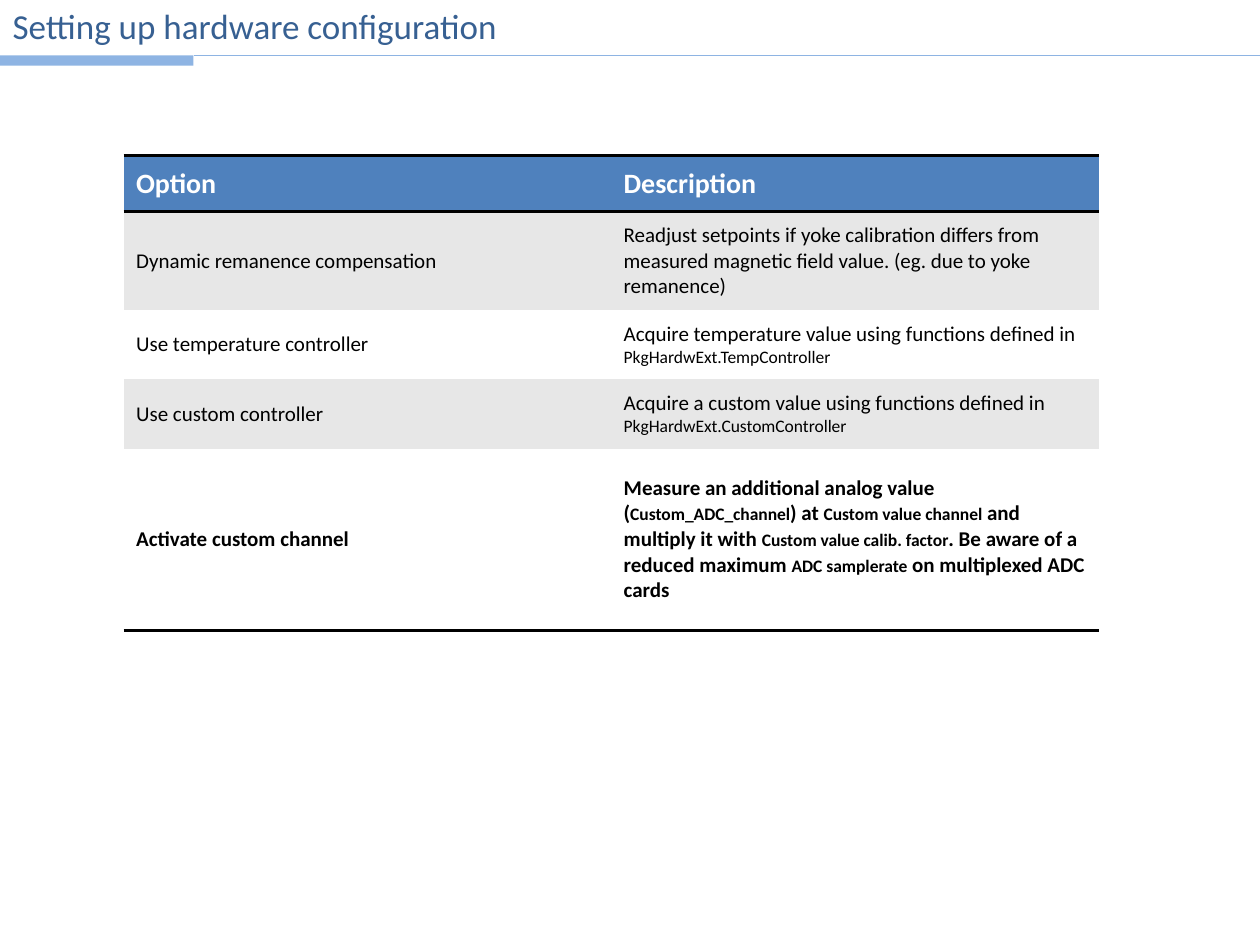
from dataclasses import dataclass

from lxml import etree
from pptx import Presentation
from pptx import util as u
from pptx.dml import color
from pptx.enum import shapes, text
from pptx.oxml import ns


@dataclass(frozen=True)
class Theme:
    font: str = "Calibri"
    title: str = "376092"
    accent: str = "8EB4E3"
    header: str = "4F81BD"
    band: str = "E7E7E7"
    white: str = "FFFFFF"
    black: str = "000000"
    title_size: int = 20
    header_size: int = 16
    body_size: int = 12
    code_size: int = 10
    rule_width: float = 0.75
    border_width: int = 2


THEME = Theme()
PLAIN_TABLE_STYLE = "{2D5ABB26-0587-4C30-8999-92F81FD0307C}"
BODY, CODE = THEME.body_size, THEME.code_size
HEADINGS = ("Option", "Description")
OPTIONS = [
    ("Dynamic remanence compensation", [
        ("Readjust setpoints if yoke calibration differs from measured "
         "magnetic field value. (eg. due to yoke remanence)", BODY)]),
    ("Use temperature controller", [
        ("Acquire temperature value using functions defined in ", BODY),
        ("PkgHardwExt.TempController", CODE)]),
    ("Use custom controller", [
        ("Acquire a custom value using functions defined in ", BODY),
        ("PkgHardwExt.CustomController", CODE)]),
    ("Activate custom channel", [
        ("Measure an additional analog value (", BODY),
        ("Custom_ADC_channel", CODE),
        (") at ", BODY),
        ("Custom value channel", CODE),
        (" and multiply it with ", BODY),
        ("Custom value calib. factor", CODE),
        (". Be aware of a reduced maximum ", BODY),
        ("ADC samplerate", CODE),
        (" on multiplexed ADC cards", BODY)]),
]
ROW_HEIGHTS = (32.4, 56.2, 39.6, 39.6, 103.7)


def rgb(value):
    return color.RGBColor.from_string(value)


def add_runs(paragraph, runs, ink, bold=False):
    for words, size in runs:
        run = paragraph.add_run()
        run.text = words
        run.font.name = THEME.font
        run.font.size = u.Pt(size)
        run.font.bold = bold
        run.font.color.rgb = rgb(ink)


def set_title(slide, words):
    title = slide.shapes.title
    title.left, title.top = u.Pt(0), u.Pt(-2.2)
    title.width, title.height = u.Pt(645), u.Pt(34)
    frame = title.text_frame
    frame.vertical_anchor = text.MSO_ANCHOR.MIDDLE
    paragraph = frame.paragraphs[0]
    paragraph.alignment = text.PP_ALIGN.LEFT
    add_runs(paragraph, [(words, THEME.title_size)], THEME.title)


def add_title_rule(slide, top, bar_width, slide_width):
    bar = slide.shapes.add_shape(
        shapes.MSO_SHAPE.RECTANGLE, u.Pt(0), u.Pt(top), u.Pt(bar_width), u.Pt(5.8))
    bar.shadow.inherit = False
    bar.fill.solid()
    bar.fill.fore_color.rgb = rgb(THEME.accent)
    bar.line.fill.background()
    rule = slide.shapes.add_connector(
        shapes.MSO_CONNECTOR.STRAIGHT,
        u.Pt(bar_width), u.Pt(top), u.Pt(slide_width), u.Pt(top))
    rule.line.color.rgb = rgb(THEME.accent)
    rule.line.width = u.Pt(THEME.rule_width)
    etree.SubElement(rule._element.spPr, ns.qn("a:effectLst"))


def add_border(cell, side):
    properties = cell._tc.get_or_add_tcPr()
    line = etree.SubElement(properties, ns.qn(f"a:ln{side}"),
                            w=str(u.Pt(THEME.border_width)))
    fill = etree.SubElement(line, ns.qn("a:solidFill"))
    etree.SubElement(fill, ns.qn("a:srgbClr"), val=THEME.black)


def fill_cell(cell, runs, fill, ink, bold, sides):
    for side in sides:
        add_border(cell, side)
    cell.fill.solid()
    cell.fill.fore_color.rgb = rgb(fill)
    cell.vertical_anchor = text.MSO_ANCHOR.MIDDLE
    add_runs(cell.text_frame.paragraphs[0], runs, ink, bold)


def add_option_table(slide):
    frame = slide.shapes.add_table(
        len(ROW_HEIGHTS), len(HEADINGS), u.Pt(70.6), u.Pt(88.6),
        u.Pt(557.2), u.Pt(sum(ROW_HEIGHTS)))
    table = frame.table
    table._tbl.tblPr.find(ns.qn("a:tableStyleId")).text = PLAIN_TABLE_STYLE
    for row, height in zip(table.rows, ROW_HEIGHTS):
        row.height = u.Pt(height)
    for cell, heading in zip(table.rows[0].cells, HEADINGS):
        fill_cell(cell, [(heading, THEME.header_size)],
                  THEME.header, THEME.white, True, "TB")
    for index, (option, description) in enumerate(OPTIONS, start=1):
        last = index == len(OPTIONS)
        fill = THEME.band if index % 2 else THEME.white
        for cell, runs in zip(table.rows[index].cells, ([(option, BODY)], description)):
            fill_cell(cell, runs, fill, THEME.black, last, "B" if last else "")


def main():
    presentation = Presentation()
    presentation.slide_width, presentation.slide_height = u.Pt(720), u.Pt(540)
    slide = presentation.slides.add_slide(presentation.slide_layouts[5])
    add_title_rule(slide, top=31.7, bar_width=110.6, slide_width=720)
    set_title(slide, "Setting up hardware configuration")
    add_option_table(slide)
    presentation.save("out.pptx")


main()
